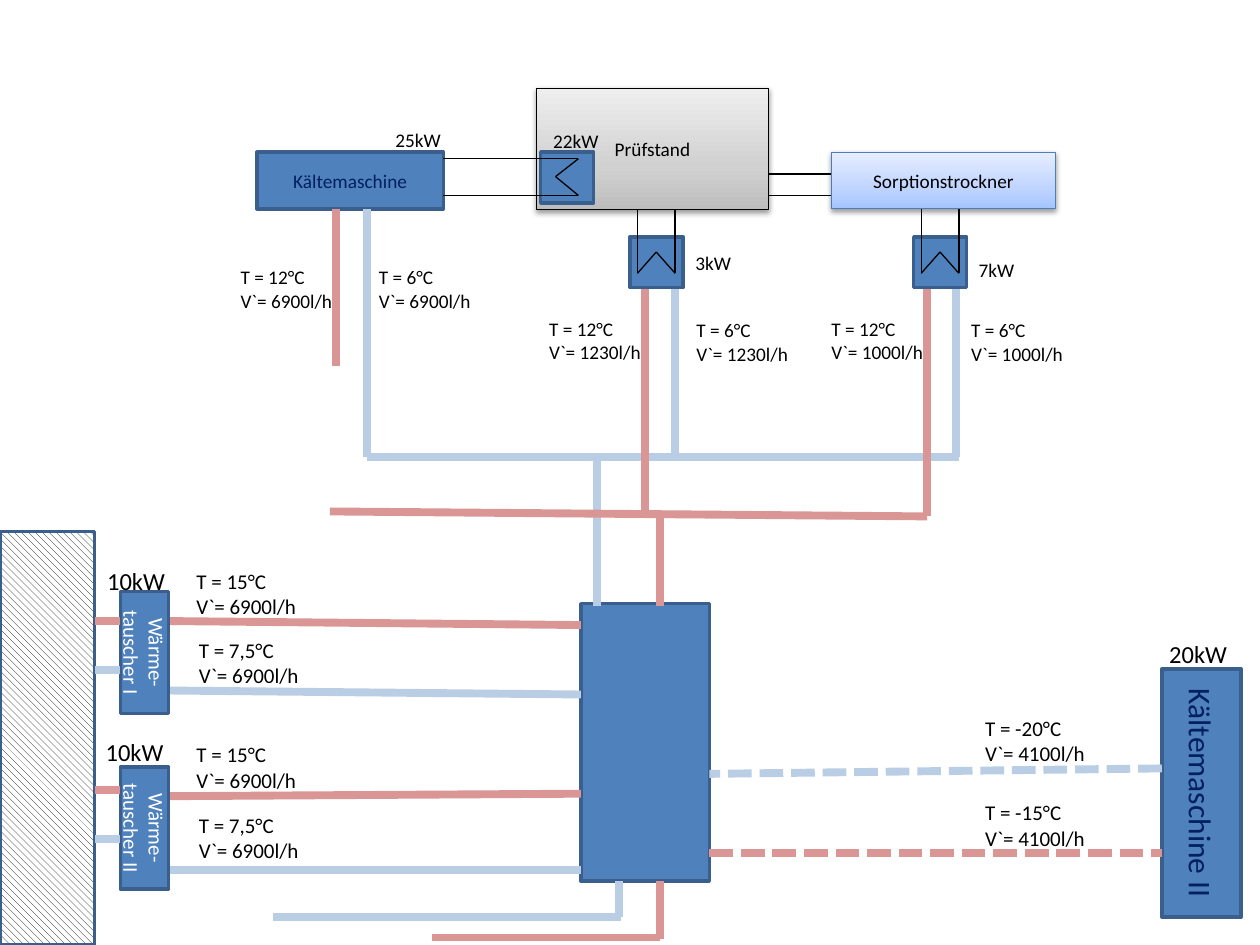
from dataclasses import dataclass
from itertools import pairwise
from typing import Optional

import pptx
import pptx.dml.color
import pptx.enum.dml
import pptx.enum.shapes
import pptx.enum.text
import pptx.oxml
import pptx.oxml.ns
import pptx.util
from lxml import etree

Cm, Pt = pptx.util.Cm, pptx.util.Pt
RGBColor = pptx.dml.color.RGBColor
qn = pptx.oxml.ns.qn

BLACK = RGBColor(0x00, 0x00, 0x00)
WHITE = RGBColor(0xFF, 0xFF, 0xFF)
NAVY = RGBColor(0x00, 0x20, 0x60)
BLUE = RGBColor(0x4F, 0x81, 0xBD)
BLUE_EDGE = RGBColor(0x3A, 0x5F, 0x8C)
SORPTION_EDGE = RGBColor(0x4B, 0x7E, 0xBC)
COLD = RGBColor(0xB9, 0xCD, 0xE5)
WARM = RGBColor(0xD9, 0x96, 0x94)
GREYS = (RGBColor(0xBD, 0xBD, 0xBD), RGBColor(0xD1, 0xD1, 0xD1), RGBColor(0xEE, 0xEE, 0xEE))
PALE_BLUES = (RGBColor(0xA4, 0xC4, 0xFF), RGBColor(0xBF, 0xD4, 0xFF), RGBColor(0xE6, 0xEE, 0xFF))
STOPS = (0, 35, 100)
FONT = "Calibri"


@dataclass
class Box:
    left: float
    top: float
    width: float
    height: float
    text: str = ""
    size: float = 11
    color: RGBColor = NAVY
    rotation: int = 0
    edge: RGBColor = BLUE_EDGE
    edge_width: float = 2
    gradient: Optional[tuple] = None
    hatched: bool = False


@dataclass
class Pipe:
    color: RGBColor
    x1: float
    y1: float
    x2: float
    y2: float
    dashed: bool = False


@dataclass
class Label:
    left: float
    top: float
    width: float
    text: str
    size: float = 11


def format_text(tf, size: float, color: RGBColor, align) -> None:
    for p in tf.paragraphs:
        p.alignment = align
        for r in p.runs:
            r.font.name, r.font.size, r.font.color.rgb = FONT, Pt(size), color


def fill_gradient(sp, colors: tuple) -> None:
    sp.fill.gradient()
    sp.fill.gradient_angle = 90
    stops = sp._element.spPr.find(qn("a:gradFill")).find(qn("a:gsLst"))
    for old in list(stops):
        stops.remove(old)
    for pos, color in zip(STOPS, colors):
        gs = etree.SubElement(stops, qn("a:gs"), pos=str(pos * 1000))
        etree.SubElement(gs, qn("a:srgbClr"), val=str(color))


def add_shadow(sp) -> None:
    effects = sp._element.spPr.find(qn("a:effectLst"))
    shadow = etree.SubElement(effects, qn("a:outerShdw"), blurRad="40000",
                              dist="20000", dir="5400000", rotWithShape="0")
    color = etree.SubElement(shadow, qn("a:srgbClr"), val=str(BLACK))
    etree.SubElement(color, qn("a:alpha"), val="38000")


def draw_box(s, box: Box) -> None:
    sp = s.shapes.add_shape(pptx.enum.shapes.MSO_SHAPE.RECTANGLE, Cm(box.left), Cm(box.top),
                            Cm(box.width), Cm(box.height))
    sp.rotation = box.rotation
    sp.shadow.inherit = False
    sp.line.color.rgb, sp.line.width = box.edge, Pt(box.edge_width)
    if box.gradient:
        fill_gradient(sp, box.gradient)
        add_shadow(sp)
    elif box.hatched:
        sp.fill.patterned()
        sp.fill.pattern = pptx.enum.dml.MSO_PATTERN.WIDE_DOWNWARD_DIAGONAL
        sp.fill.fore_color.rgb, sp.fill.back_color.rgb = BLACK, WHITE
    else:
        sp.fill.solid()
        sp.fill.fore_color.rgb = BLUE
    if box.text:
        tf = sp.text_frame
        tf.text, tf.word_wrap = box.text, True
        tf.vertical_anchor = pptx.enum.text.MSO_ANCHOR.MIDDLE
        format_text(tf, box.size, box.color, pptx.enum.text.PP_ALIGN.CENTER)


def draw_line(s, start: tuple, end: tuple, color: RGBColor, width: float, dashed: bool = False) -> None:
    line = s.shapes.add_connector(pptx.enum.shapes.MSO_CONNECTOR.STRAIGHT,
                                  Cm(start[0]), Cm(start[1]), Cm(end[0]), Cm(end[1]))
    line.line.color.rgb, line.line.width = color, Pt(width)
    if dashed:
        line.line.dash_style = pptx.enum.dml.MSO_LINE.SQUARE_DOT
    etree.SubElement(line._element.spPr, qn("a:effectLst"))


def draw_coil(s, points: list) -> None:
    for start, end in pairwise(points):
        draw_line(s, start, end, BLACK, 0.75)


def draw_label(s, label: Label) -> None:
    lines = label.text.count("\n") + 1
    height = Pt(label.size * 1.22 * lines) + Cm(0.25)
    tf = s.shapes.add_textbox(Cm(label.left), Cm(label.top), Cm(label.width), height).text_frame
    tf.text, tf.word_wrap = label.text, False
    format_text(tf, label.size, BLACK, pptx.enum.text.PP_ALIGN.LEFT)


def state(temperature: str, flow: int) -> str:
    return f"T = {temperature}°C\nV`= {flow}l/h"


BOXES = [
    Box(21.72, 15.19, 5, 1.6, "Kältemaschine II", 18, rotation=90),
    Box(0, 10.72, 1.91, 8.33, hatched=True),
    Box(1.68, 16.21, 2.46, 0.97, "Wärme-tauscher II", 12, WHITE, 90),
    Box(1.68, 12.67, 2.46, 0.97, "Wärme-tauscher I", 12, WHITE, 90),
    Box(11.71, 12.17, 2.59, 5.59),
    Box(10.82, 1.78, 4.67, 2.44, "Prüfstand", color=BLACK, edge=BLACK, edge_width=0.75, gradient=GREYS),
    Box(5.18, 3.07, 3.76, 1.14, "Kältemaschine"),
    Box(16.76, 3.07, 4.52, 1.14, "Sorptionstrockner", color=BLACK, edge=SORPTION_EDGE,
        edge_width=0.75, gradient=PALE_BLUES),
]
PIPES = [
    # Second chiller to tank
    Pipe(COLD, 23.42, 15.49, 14.3, 15.6, True),
    Pipe(WARM, 14.3, 17.2, 23.42, 17.2, True),
    # Wall to heat exchangers
    *[Pipe(color, 2.41, y, 1.91, y)
      for color, y in ((WARM, 12.52), (WARM, 15.93), (COLD, 13.51), (COLD, 16.92))],
    # Heat exchangers to tank
    *[Pipe(color, 11.71, y1, 3.43, y2) for color, y1, y2 in (
        (WARM, 12.6, 12.52), (COLD, 14, 13.92), (WARM, 16, 16.05), (COLD, 17.53, 17.53))],
    # Tank to collectors above
    Pipe(WARM, 13.31, 12.22, 13.31, 10.31),
    Pipe(COLD, 12.04, 12.22, 12.04, 9.22),
    Pipe(WARM, 18.69, 10.41, 6.65, 10.31),
    Pipe(COLD, 7.39, 9.22, 19.33, 9.22),
    # Tank to outlets below
    Pipe(COLD, 12.47, 18.49, 12.47, 17.75),
    Pipe(WARM, 13.31, 18.92, 13.31, 17.75),
    Pipe(WARM, 13.31, 18.9, 8.71, 18.9),
    Pipe(COLD, 5.51, 18.49, 12.52, 18.49),
    # Collectors to consumers
    *[Pipe(color, x, top, x, bottom) for color, x, top, bottom in (
        (COLD, 13.61, 5.64, 9.22), (WARM, 13, 5.64, 10.41),
        (COLD, 7.39, 4.22, 9.22), (WARM, 6.78, 4.22, 7.37),
        (COLD, 19.28, 5.79, 9.22), (WARM, 18.69, 5.79, 10.41))],
]
LABELS = [
    Label(23.32, 12.75, 1.9, "20kW", 14),
    Label(1.91, 11.28, 1.83, "10kW", 14),
    Label(1.88, 14.73, 1.83, "10kW", 14),
    Label(19.61, 14.3, 2.95, state("-20", 4100), 12),
    Label(19.61, 16, 2.95, state("-15", 4100), 12),
    *[Label(3.71, top, 2.95, state("15", 6900), 12) for top in (11.33, 14.83)],
    *[Label(3.76, top, 2.95, state("7,5", 6900), 12) for top in (12.73, 16.26)],
    Label(13.79, 6.3, 2.49, state("6", 1230)),
    Label(10.82, 6.27, 2.59, state("12", 1230)),
    Label(7.39, 5.23, 2.41, state("6", 6900)),
    Label(4.6, 5.23, 2.57, state("12", 6900)),
    Label(19.33, 6.3, 2.36, state("6", 1000)),
    Label(16.51, 6.27, 2.51, state("12", 1000)),
    Label(13.77, 4.93, 1.42, "3kW"),
    Label(19.48, 5.08, 1.42, "7kW"),
    Label(10.9, 2.49, 1.42, "22kW"),
    Label(7.72, 2.46, 1.42, "25kW"),
]

prs = pptx.Presentation()
prs.slide_width, prs.slide_height = Cm(25.4), Cm(19.05)
s = prs.slides.add_slide(prs.slide_layouts[6])

# Machines and pipework
for box in BOXES:
    draw_box(s, box)
for pipe in PIPES:
    draw_line(s, (pipe.x1, pipe.y1), (pipe.x2, pipe.y2), pipe.color, 4.5, pipe.dashed)

# Coil exchangers
draw_box(s, Box(10.9, 3.07, 1.07, 1.02))
draw_coil(s, [(8.94, 3.2), (11.66, 3.2), (11.2, 3.56), (11.66, 3.94), (8.94, 3.94)])
for x in (12.7, 18.42):
    draw_box(s, Box(x, 4.78, 1.07, 1.02))
    draw_coil(s, [(x + 0.15, 4.22), (x + 0.15, 5.51), (x + 0.53, 5.08), (x + 0.91, 5.51), (x + 0.91, 4.22)])

# Test bench to sorption dryer
for y in (3.51, 3.94):
    draw_line(s, (15.49, y), (16.76, y), BLACK, 0.75)

for label in LABELS:
    draw_label(s, label)

prs.save("out.pptx")
